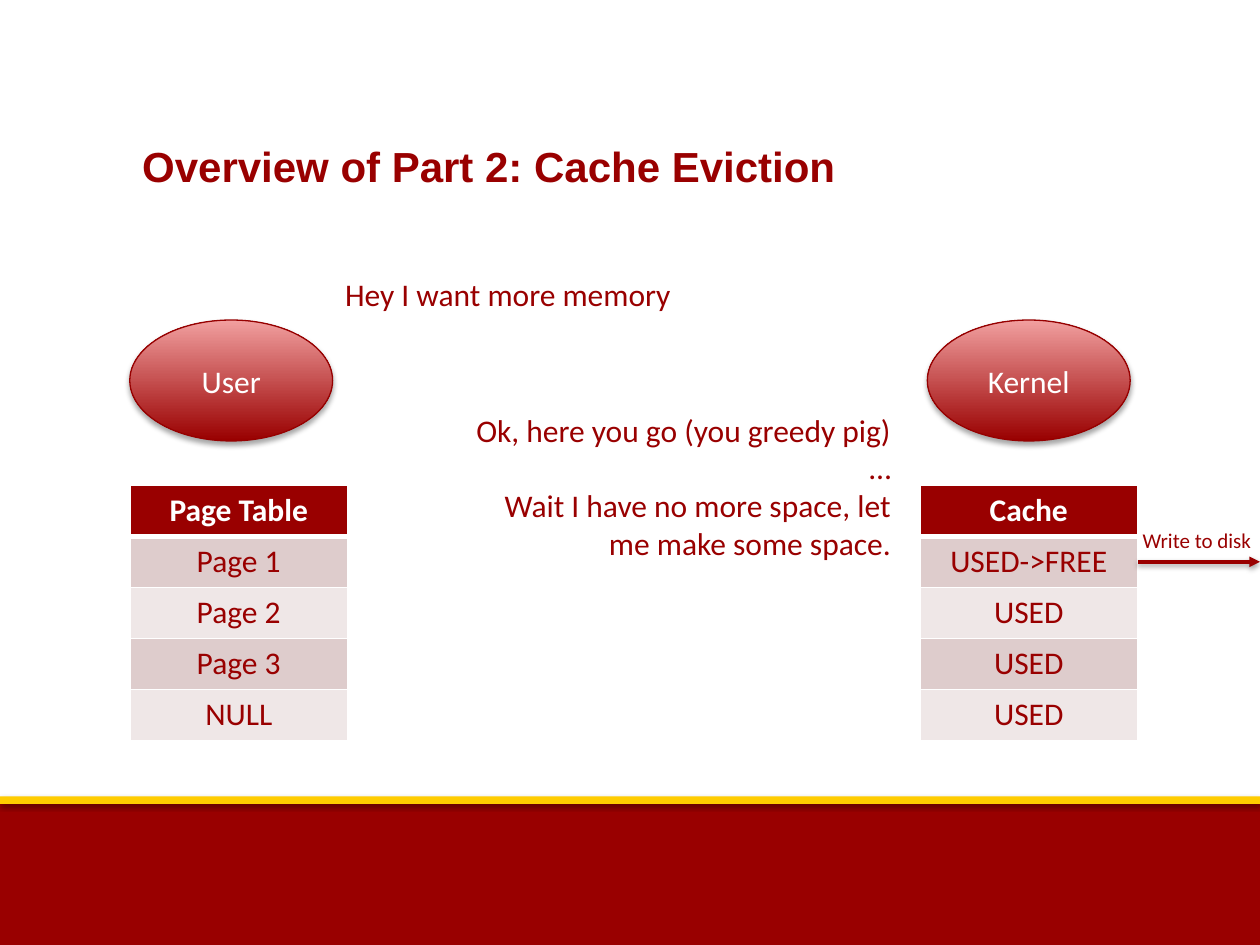
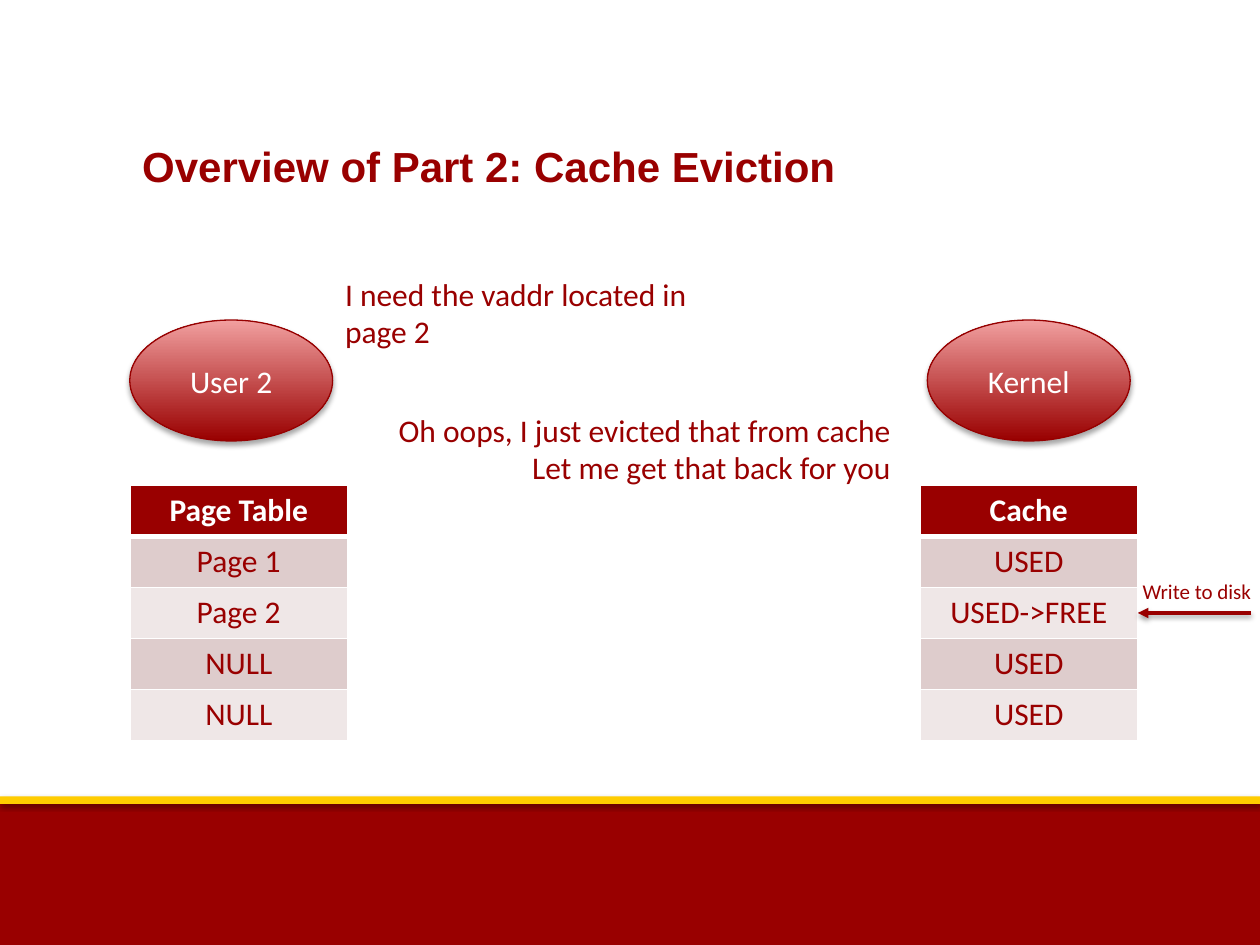
from lxml.etree import SubElement
from pptx import Presentation
from pptx.dml.color import RGBColor
from pptx.enum.shapes import MSO_CONNECTOR, MSO_SHAPE
from pptx.enum.text import MSO_ANCHOR, MSO_AUTO_SIZE, PP_ALIGN
from pptx.oxml.ns import qn
from pptx.util import Inches, Pt

COLORS = {
    "cardinal": "990000",
    "outline": "960000",
    "blush": "F19F9F",
    "gold": "FFCC00",
    "row_dark": "DECCCC",
    "row_light": "EFE7E7",
    "white": "FFFFFF",
    "shadow": "000000",
}
TITLE = "Overview of Part 2: Cache Eviction"
LEFT = 1.03
CACHE_LEFT = 7.3
TABLE_TOP = 3.85
TABLE_WIDTH = 1.73
TABLE_HEIGHT = 2.03

EXCHANGES = [
    {
        "user": "User",
        "request": (["Hey I want more memory"], (2.64, 2.13, 2.83, 0.4)),
        "reply": (
            ["Ok, here you go (you greedy pig)", "…",
             "Wait I have no more space, let me make some space."],
            (3.65, 3.21, 3.52, 1.31),
        ),
        "pages": ["Page 1", "Page 2", "Page 3", "NULL"],
        "evicted_row": 1,
        "disk_x": 10,
        "to_disk": True,
    },
    {
        "user": "User 2",
        "request": (["I need the vaddr located in page 2"], (2.64, 2.13, 3.4, 0.71)),
        "reply": (
            ["Oh oops, I just evicted that from cache", "Let me get that back for you"],
            (3.01, 3.21, 4.16, 0.71),
        ),
        "pages": ["Page 1", "Page 2", "NULL", "NULL"],
        "evicted_row": 2,
        "disk_x": 9.93,
        "to_disk": False,
    },
]


def rgb(name):
    return RGBColor.from_string(COLORS[name])


def inches(box):
    return [Inches(length) for length in box]


def write(frame, lines, align, size=18, color="cardinal", font="Calibri", bold=False):
    for index, line in enumerate(lines):
        paragraph = frame.paragraphs[0] if index == 0 else frame.add_paragraph()
        paragraph.alignment = align
        run = paragraph.add_run()
        run.text = line
        run.font.name = font
        run.font.size = Pt(size)
        run.font.bold = bold
        run.font.color.rgb = rgb(color)


def add_text(slide, lines, box, align=PP_ALIGN.LEFT, **style):
    frame = slide.shapes.add_textbox(*inches(box)).text_frame
    frame.word_wrap = True
    frame.auto_size = MSO_AUTO_SIZE.SHAPE_TO_FIT_TEXT
    write(frame, lines, align, **style)


def add_shadow(shape, alpha, distance):
    effects = SubElement(shape._element.spPr, qn("a:effectLst"))
    shadow = SubElement(effects, qn("a:outerShdw"), blurRad=str(Pt(3.1)),
                        dist=str(Pt(distance)), dir="5400000", rotWithShape="0")
    tint = SubElement(shadow, qn("a:srgbClr"), val=COLORS["shadow"])
    SubElement(tint, qn("a:alpha"), val=str(alpha * 1000))


def add_band(slide, box, color, alpha, distance):
    band = slide.shapes.add_shape(MSO_SHAPE.RECTANGLE, *inches(box))
    band.fill.solid()
    band.fill.fore_color.rgb = rgb(color)
    band.line.fill.background()
    add_shadow(band, alpha, distance)


def add_frame(slide):
    add_band(slide, (0, 6.35, 10, 1.15), "cardinal", 35, 1.8)
    add_band(slide, (0, 6.32, 10, 0.06), "gold", 38, 1.6)
    add_text(slide, [TITLE], (LEFT, 1.07, 8.09, 0.5), size=24, font="Arial", bold=True)


def add_actor(slide, name, left):
    actor = slide.shapes.add_shape(MSO_SHAPE.OVAL, *inches((left, 2.54, 1.61, 0.96)))
    actor.fill.gradient()
    actor.fill.gradient_angle = 90
    for stop, color in zip(actor.fill.gradient_stops, ("cardinal", "blush")):
        stop.color.rgb = rgb(color)
    actor.line.color.rgb = rgb("outline")
    actor.line.width = Pt(0.75)
    add_shadow(actor, 35, 1.8)
    actor.text_frame.vertical_anchor = MSO_ANCHOR.MIDDLE
    write(actor.text_frame, [name], PP_ALIGN.CENTER, color="white")


def set_borders(cell, top, bottom):
    properties = cell._tc.get_or_add_tcPr()
    for side, width in (("L", 1), ("R", 1), ("T", top), ("B", bottom)):
        border = SubElement(properties, qn(f"a:ln{side}"), w=str(Pt(width)))
        fill = SubElement(border, qn("a:solidFill"))
        SubElement(fill, qn("a:srgbClr"), val=COLORS["white"])


def add_memory_table(slide, heading, entries, left):
    rows = [heading, *entries]
    box = inches((left, TABLE_TOP, TABLE_WIDTH, TABLE_HEIGHT))
    table = slide.shapes.add_table(len(rows), 1, *box).table
    for index, entry in enumerate(rows):
        table.rows[index].height = Inches(TABLE_HEIGHT / len(rows))
        cell = table.cell(index, 0)
        header = index == 0
        set_borders(cell, 3 if index == 1 else 1, 3 if header else 1)
        cell.fill.solid()
        band = "row_dark" if index % 2 else "row_light"
        cell.fill.fore_color.rgb = rgb("cardinal" if header else band)
        write(cell.text_frame, [entry], PP_ALIGN.CENTER, bold=header,
              color="white" if header else "cardinal")


def add_disk_arrow(slide, row, disk_x, to_disk):
    y = TABLE_TOP + (row + 0.5) * TABLE_HEIGHT / 5
    start, end = CACHE_LEFT + TABLE_WIDTH, disk_x
    if not to_disk:
        start, end = end, start
    arrow = slide.shapes.add_connector(MSO_CONNECTOR.STRAIGHT, *inches((start, y, end, y)))
    arrow.line.color.rgb = rgb("cardinal")
    arrow.line.width = Pt(2)
    SubElement(arrow._element.spPr.find(qn("a:ln")), qn("a:tailEnd"), type="triangle")
    add_shadow(arrow, 38, 1.6)
    add_text(slide, ["Write to disk"], (8.97, y - 0.32, 1.09, 0.3), size=12)


def add_exchange_slide(deck, exchange):
    slide = deck.slides.add_slide(deck.slide_layouts[6])
    add_frame(slide)
    add_actor(slide, exchange["user"], LEFT)
    add_actor(slide, "Kernel", 7.36)
    add_text(slide, *exchange["request"])
    add_text(slide, *exchange["reply"], align=PP_ALIGN.RIGHT)
    evicted = exchange["evicted_row"]
    cache = ["USED->FREE" if row == evicted else "USED" for row in range(1, 5)]
    add_memory_table(slide, "Page Table", exchange["pages"], LEFT)
    add_memory_table(slide, "Cache", cache, CACHE_LEFT)
    add_disk_arrow(slide, evicted, exchange["disk_x"], exchange["to_disk"])


def main():
    deck = Presentation()
    deck.slide_width, deck.slide_height = Inches(10), Inches(7.5)
    for exchange in EXCHANGES:
        add_exchange_slide(deck, exchange)
    deck.save("out.pptx")


if __name__ == "__main__":
    main()
